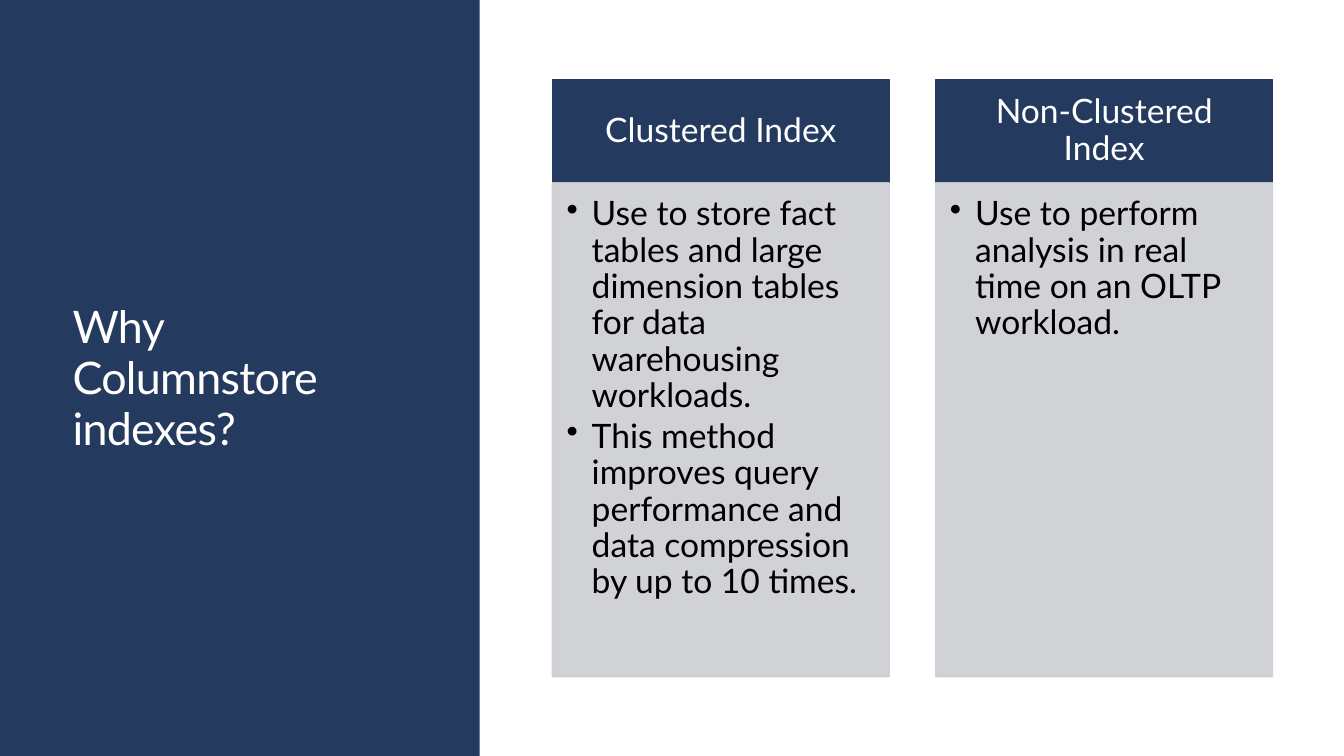
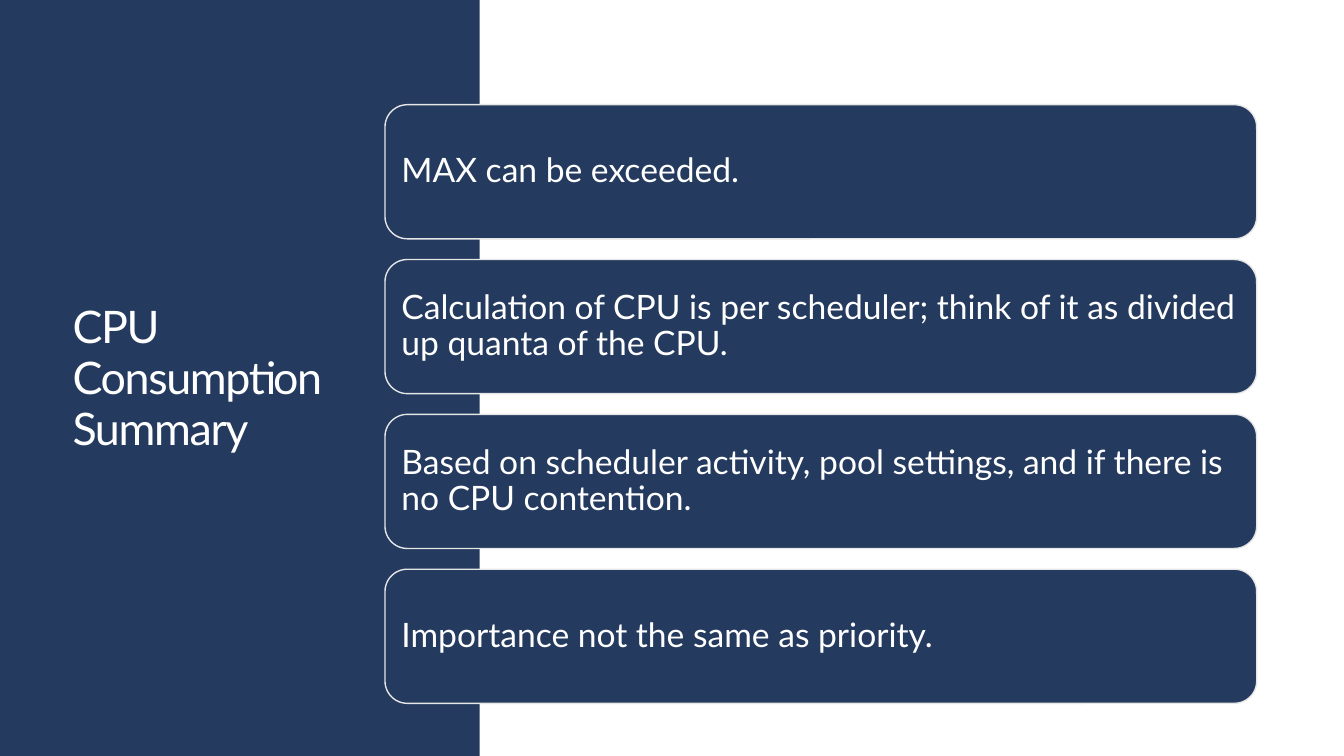
from lxml import etree
from pptx import Presentation
from pptx.dml.color import RGBColor
from pptx.enum import shapes, text
from pptx.oxml.ns import qn
from pptx.util import Pt

NAVY, GREY, PALE, WHITE, BLACK = "243A5E", "CDCED2", "E6E6E6", "FFFFFF", "000000"
FONT = "Lato"
COLUMNS = [
    ("Clustered Index", [
        "Use to store fact tables and large dimension tables for data warehousing workloads.",
        "This method improves query performance and data compression by up to 10 times.",
    ]),
    ("Non-Clustered Index", [
        "Use to perform analysis in real time on an OLTP workload.",
    ]),
]
CARDS = [
    "MAX can be exceeded.",
    "Calculation of CPU is per scheduler; think of it as divided up quanta of the CPU.",
    "Based on scheduler activity, pool settings, and if there is no CPU contention.",
    "Importance not the same as priority.",
]


def add_box(slide, kind, place, fill, line):
    box = slide.shapes.add_shape(kind, *[Pt(value) for value in place])
    box.shadow.inherit = False
    box.fill.solid()
    box.fill.fore_color.rgb = RGBColor.from_string(fill)
    box.line.color.rgb = RGBColor.from_string(line)
    box.line.width = Pt(1)
    return box


def write(box, lines, insets, color=WHITE, size=24, spacing=0.9, bullet=False, tracking=0,
          align=text.PP_ALIGN.LEFT, anchor=text.MSO_ANCHOR.MIDDLE):
    """Fill a shape with paragraphs; insets run left, top, right, bottom."""
    frame = box.text_frame
    frame.word_wrap = True
    frame.auto_size = text.MSO_AUTO_SIZE.NONE
    frame.vertical_anchor = anchor
    frame.margin_left, frame.margin_top, frame.margin_right, frame.margin_bottom = map(Pt, insets)
    for index, line in enumerate(lines):
        para = frame.paragraphs[0] if index == 0 else frame.add_paragraph()
        para.text = line
        para.alignment = align
        para.line_spacing = spacing
        properties = para._p.get_or_add_pPr()
        if bullet:
            para.space_after = Pt(3.5)
            properties.set("marL", str(Pt(18)))
            properties.set("indent", str(Pt(-18)))
            etree.SubElement(properties, qn("a:buChar"), char="•")
        para.font.name = FONT
        para.font.size = Pt(size)
        para.font.color.rgb = RGBColor.from_string(color)
        if tracking:
            properties.get_or_add_defRPr().set("spc", str(tracking))


deck = Presentation()
deck.slide_width, deck.slide_height = Pt(960), Pt(540)

# Shared layout: title area on a navy side panel
layout = deck.slide_layouts[5]
for holder in list(layout.placeholders):
    if holder.placeholder_format.type == shapes.PP_PLACEHOLDER.TITLE:
        holder.left, holder.top, holder.width, holder.height = map(Pt, (51.8, 49.7, 245.5, 440.6))
    else:
        holder.element.getparent().remove(holder.element)

index_slide = deck.slides.add_slide(layout)
cpu_slide = deck.slides.add_slide(layout)
panel = add_box(index_slide, shapes.MSO_SHAPE.RECTANGLE, (0, 0, 342.7, 540), NAVY, NAVY)
panel.line.fill.background()
layout.shapes.element.insert(2, panel.element)

for slide, title, insets, tracking in [
    (index_slide, "Why Columnstore indexes?", (0, 0, 0, 0), -50),
    (cpu_slide, "CPU Consumption Summary", (0, 7.2, 11.5, 7.2), -100),
]:
    write(slide.shapes.title, [title], insets, size=32, spacing=Pt(36.2), tracking=tracking)

# Slide 1: two columns, each a header over a bulleted body
for number, (heading, points) in enumerate(COLUMNS):
    left = 394.6 + number * 273.9
    header = add_box(index_slide, shapes.MSO_SHAPE.RECTANGLE, (left, 56.9, 240.5, 73.7), NAVY, NAVY)
    write(header, [heading], (13.7, 7.9, 13.7, 7.9), align=text.PP_ALIGN.CENTER)
    body = add_box(index_slide, shapes.MSO_SHAPE.RECTANGLE, (left, 130.6, 240.5, 352.8), GREY, GREY)
    for color in body.element.spPr.iter(qn("a:srgbClr")):
        etree.SubElement(color, qn("a:alpha"), val="90000")
    write(body, points, (10.1, 10.1, 13.7, 15.1), color=BLACK, bullet=True,
          anchor=text.MSO_ANCHOR.TOP)

# Slide 2: a stack of rounded cards
for number, sentence in enumerate(CARDS):
    card = add_box(cpu_slide, shapes.MSO_SHAPE.ROUNDED_RECTANGLE,
                   (275, 74.8 + number * 110.6, 622.7, 95.8), NAVY, PALE)
    write(card, [sentence], (7.2, 7.2, 7.2, 7.2))

deck.save("out.pptx")
